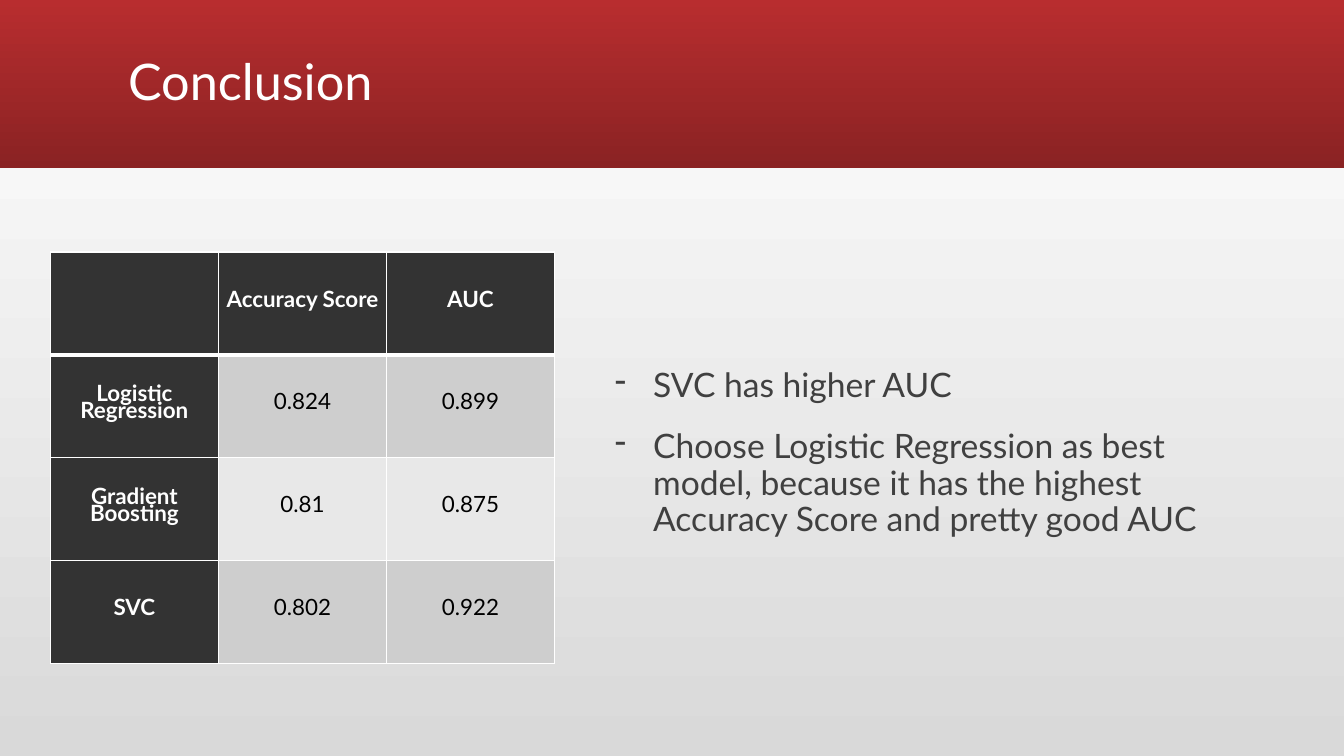
from lxml import etree
from pptx import Presentation
from pptx import util as u
from pptx.dml.color import RGBColor
from pptx.enum import shapes, text
from pptx.oxml import ns

COLORS = {
    "band_top": "B82D2F", "band_bottom": "8A2223",
    "page_top": "FFFFFF", "page_bottom": "D9D9D9",
    "white": "FFFFFF", "black": "000000", "body": "404040",
    "header": "333333", "odd_row": "CECECE", "even_row": "E8E8E8",
}


def color(name):
    return RGBColor.from_string(COLORS[name])


def set_font(para, size, name, bold=False):
    para.font.name = "Lato"
    para.font.size = u.Pt(size)
    para.font.bold = bold
    para.font.color.rgb = color(name)


deck = Presentation()
deck.slide_width, deck.slide_height = u.Inches(13.33), u.Inches(7.5)
page = deck.slides.add_slide(deck.slide_layouts[5])
title = page.shapes.title

# Background and title band, both shaded from top to bottom
band = page.shapes.add_shape(
    shapes.MSO_SHAPE.RECTANGLE, 0, 0, deck.slide_width, u.Inches(1.67))
band.shadow.inherit = False
band.line.fill.background()
title.element.addprevious(band.element)
for fill, part in ((page.background.fill, "page"), (band.fill, "band")):
    fill.gradient()
    fill.gradient_angle = 270
    for stop, position, edge in zip(fill.gradient_stops, (0, 1), ("top", "bottom")):
        stop.position = position
        stop.color.rgb = color(f"{part}_{edge}")

# Title
title.left, title.top = u.Inches(1.17), u.Inches(0.11)
title.width, title.height = u.Inches(11), u.Inches(1.45)
title.text_frame.text = "Conclusion"
title.text_frame.vertical_anchor = text.MSO_ANCHOR.MIDDLE
para = title.text_frame.paragraphs[0]
para.alignment = text.PP_ALIGN.LEFT
para.line_spacing = 0.9
set_font(para, 36, "white")

# Findings
findings = [
    "SVC has higher AUC",
    "Choose Logistic Regression as best model, because it has the highest "
    "Accuracy Score and pretty good AUC",
]
box = page.shapes.add_textbox(u.Inches(6), u.Inches(2), u.Inches(6.42), u.Inches(5))
frame = box.text_frame
frame.word_wrap = True
frame.vertical_anchor = text.MSO_ANCHOR.MIDDLE
frame.text = "\n".join(findings)
for para in frame.paragraphs:
    para.line_spacing = 0.9
    para.space_before = u.Pt(18)
    set_font(para, 24, "body")
    props = para._p.get_or_add_pPr()
    props.set("marL", str(u.Inches(0.38)))
    props.set("indent", str(-u.Inches(0.38)))
    etree.SubElement(props, ns.qn("a:buChar"), char="-")

# Score table
scores = [
    ["", "Accuracy Score", "AUC"],
    ["Logistic Regression", "0.824", "0.899"],
    ["Gradient Boosting", "0.81", "0.875"],
    ["SVC", "0.802", "0.922"],
]
table = page.shapes.add_table(
    4, 3, u.Inches(0.5), u.Inches(2.5), u.Inches(5), u.Inches(4.08)).table
for r, row in enumerate(scores):
    for c, value in enumerate(row):
        cell = table.cell(r, c)
        is_header = r == 0 or c == 0

        # White borders, thicker below the header row
        for side in "LRTB":
            thick = (r, side) in ((0, "B"), (1, "T"))
            line = etree.SubElement(cell._tc.get_or_add_tcPr(), ns.qn(f"a:ln{side}"),
                                    w=str(u.Pt(3 if thick else 1)))
            solid = etree.SubElement(line, ns.qn("a:solidFill"))
            etree.SubElement(solid, ns.qn("a:srgbClr"), val=COLORS["white"])

        cell.fill.solid()
        cell.fill.fore_color.rgb = color(
            "header" if is_header else "odd_row" if r % 2 else "even_row")
        cell.vertical_anchor = text.MSO_ANCHOR.MIDDLE
        cell.margin_left = cell.margin_right = u.Inches(0.07)
        cell.margin_top = cell.margin_bottom = 0
        cell.text = value
        para = cell.text_frame.paragraphs[0]
        para.alignment = text.PP_ALIGN.CENTER
        para.line_spacing = u.Pt(12)
        para.space_after = u.Pt(6)
        set_font(para, 16, "white" if is_header else "black", is_header)

deck.save("out.pptx")
